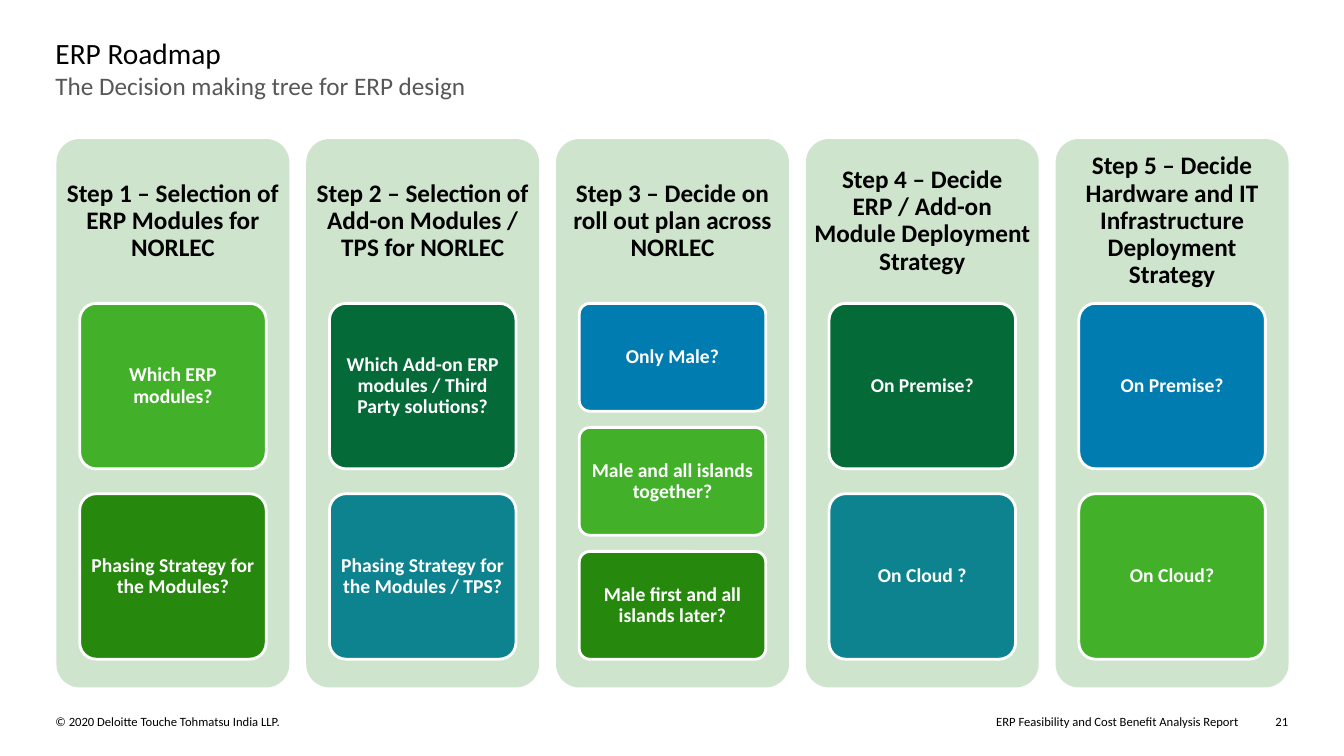
"""Build the ERP roadmap slide with its five decision columns."""
from dataclasses import dataclass

from lxml.etree import SubElement
from pptx import Presentation
from pptx.dml.color import RGBColor
from pptx.enum.shapes import MSO_SHAPE
from pptx.enum.text import MSO_ANCHOR, MSO_AUTO_SIZE, PP_ALIGN
from pptx.oxml.ns import qn
from pptx.shapes.autoshape import Shape
from pptx.slide import Slide
from pptx.text.text import TextFrame
from pptx.util import Inches, Pt


@dataclass(frozen=True)
class Theme:
    font: str = "Calibri"
    black: str = "000000"
    white: str = "FFFFFF"
    grey: str = "575757"
    panel: str = "CFE4CD"
    lime: str = "43B02A"
    green: str = "26890D"
    forest: str = "046A38"
    teal: str = "0D8390"
    blue: str = "007CB0"
    title: int = 21
    head: int = 18
    tile: int = 14
    foot: int = 9


@dataclass(frozen=True)
class Box:
    left: float
    top: float
    width: float
    height: float

    def size(self) -> tuple:
        return tuple(map(Inches, (self.left, self.top, self.width, self.height)))


@dataclass(frozen=True)
class Tile:
    text: str
    fill: str


@dataclass(frozen=True)
class Step:
    head: str
    tiles: tuple[Tile, ...]


@dataclass(frozen=True)
class Note:
    text: str
    box: Box
    align: PP_ALIGN = PP_ALIGN.LEFT
    wrap: bool = True


THEME = Theme()
LEFT, LAST, TOP = 0.56, 10.47, 1.38
WIDTH, HEIGHT, HEAD = 2.31, 5.44, 1.63
INSET, STACK, GAP = 0.23, 3.53, 0.15

STEPS = (
    Step("Step 1 – Selection of ERP Modules for NORLEC", (
        Tile("Which ERP modules?", THEME.lime),
        Tile("Phasing Strategy for the Modules?", THEME.green))),
    Step("Step 2 – Selection of Add-on Modules / TPS for NORLEC", (
        Tile("Which Add-on ERP modules / Third Party solutions?", THEME.forest),
        Tile("Phasing Strategy for the Modules / TPS?", THEME.teal))),
    Step("Step 3 – Decide on roll out plan across NORLEC", (
        Tile("Only Male?", THEME.blue),
        Tile("Male and all islands together?", THEME.lime),
        Tile("Male first and all islands later?", THEME.green))),
    Step("Step 4 – Decide ERP / Add-on Module Deployment Strategy", (
        Tile("On Premise?", THEME.forest),
        Tile("On Cloud ?", THEME.teal))),
    Step("Step 5 – Decide Hardware and IT Infrastructure Deployment Strategy", (
        Tile("On Premise?", THEME.blue),
        Tile("On Cloud?", THEME.lime))),
)

NOTES = (
    Note("© 2020 Deloitte Touche Tohmatsu India LLP.", Box(0.55, 7.08, 5.86, 0.15)),
    Note("ERP Feasibility and Cost Benefit Analysis Report",
         Box(6.93, 7.08, 5.35, 0.15), PP_ALIGN.RIGHT),
    Note("21", Box(12.65, 7.08, 0.15, 0.15), wrap=False),
)


def write(frame: TextFrame, text: str, *, size: int, color: str = THEME.black,
          bold: bool = False, align: PP_ALIGN = PP_ALIGN.LEFT,
          anchor: MSO_ANCHOR = MSO_ANCHOR.TOP, pad: tuple[float, float] = (0, 0),
          line: float = 1.0, wrap: bool = True) -> None:
    frame.auto_size = MSO_AUTO_SIZE.NONE
    frame.word_wrap = wrap
    frame.vertical_anchor = anchor
    frame.margin_left = frame.margin_right = Inches(pad[0])
    frame.margin_top = frame.margin_bottom = Inches(pad[1])
    para = frame.paragraphs[0]
    para.alignment = align
    para.line_spacing = line
    para.space_before = Pt(0)
    run = para.add_run()
    run.text = text
    run.font.name = THEME.font
    run.font.size = Pt(size)
    run.font.bold = bold
    run.font.color.rgb = RGBColor.from_string(color)


def place(shape: Shape, box: Box) -> None:
    shape.left, shape.top, shape.width, shape.height = box.size()


def round_box(slide: Slide, box: Box, fill: str, edge: str = "") -> Shape:
    shape = slide.shapes.add_shape(MSO_SHAPE.ROUNDED_RECTANGLE, *box.size())
    shape.adjustments[0] = 0.1
    shape.shadow.inherit = False
    shape.fill.solid()
    shape.fill.fore_color.rgb = RGBColor.from_string(fill)
    if edge:
        shape.line.color.rgb = RGBColor.from_string(edge)
        shape.line.width = Pt(2)
    else:
        shape.line.fill.background()
    return shape


def draw_step(slide: Slide, step: Step, left: float) -> None:
    round_box(slide, Box(left, TOP, WIDTH, HEIGHT), THEME.panel)
    head = slide.shapes.add_textbox(*Box(left, TOP, WIDTH, HEAD).size())
    write(head.text_frame, step.head, size=THEME.head, bold=True, line=0.9,
          align=PP_ALIGN.CENTER, anchor=MSO_ANCHOR.MIDDLE, pad=(0.07, 0.07))
    count = len(step.tiles)
    tall = STACK / (count + GAP * (count - 1))
    for row, tile in enumerate(step.tiles):
        box = Box(left + INSET, TOP + HEAD + row * tall * (1 + GAP),
                  WIDTH - 2 * INSET, tall)
        shape = round_box(slide, box, tile.fill, THEME.white)
        write(shape.text_frame, tile.text, size=THEME.tile, color=THEME.white,
              bold=True, line=0.9, align=PP_ALIGN.CENTER,
              anchor=MSO_ANCHOR.MIDDLE, pad=(0.04, 0.03))


def draw_heads(slide: Slide) -> None:
    title, body = slide.shapes.title, slide.placeholders[1]
    place(title, Box(0.55, 0.35, 12.24, 0.37))
    write(title.text_frame, "ERP Roadmap", size=THEME.title)
    place(body, Box(0.55, 0.7, 12.24, 0.83))
    props = body.text_frame.paragraphs[0]._p.get_or_add_pPr()
    props.set("marL", "0")
    props.set("indent", "0")
    SubElement(props, qn("a:buNone"))
    write(body.text_frame, "The Decision making tree for ERP design",
          size=THEME.head, color=THEME.grey, align=PP_ALIGN.JUSTIFY)


def main() -> None:
    deck = Presentation()
    deck.slide_width, deck.slide_height = Inches(13.33), Inches(7.5)
    slide = deck.slides.add_slide(deck.slide_layouts[1])
    draw_heads(slide)
    pitch = (LAST - LEFT) / (len(STEPS) - 1)
    for col, step in enumerate(STEPS):
        draw_step(slide, step, LEFT + col * pitch)
    for note in NOTES:
        shape = slide.shapes.add_textbox(*note.box.size())
        write(shape.text_frame, note.text, size=THEME.foot,
              align=note.align, wrap=note.wrap)
    deck.save("out.pptx")


if __name__ == "__main__":
    main()
